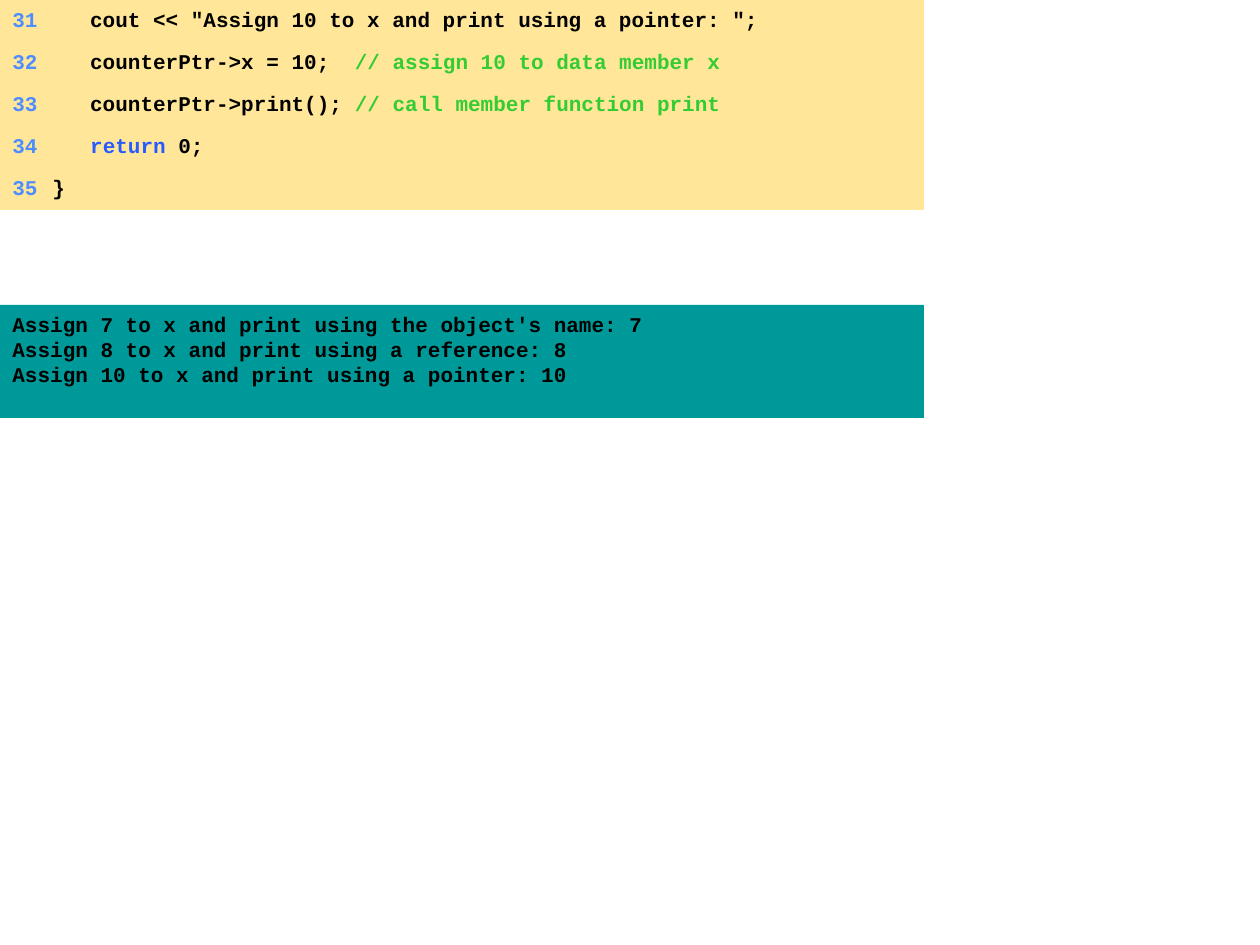
from dataclasses import dataclass

from lxml import etree
from pptx import Presentation
from pptx.dml.color import RGBColor
from pptx.enum.shapes import MSO_SHAPE
from pptx.enum.text import MSO_ANCHOR, PP_ALIGN
from pptx.oxml.ns import qn
from pptx.util import Emu, Pt

RECTANGLE = MSO_SHAPE.RECTANGLE
TOP = MSO_ANCHOR.TOP
LEFT = PP_ALIGN.LEFT

EMU_PER_PX = 914400 / 126
SLIDE_WIDTH, SLIDE_HEIGHT = 1260, 945
PANEL_WIDTH = 924
ROW_HEIGHT = 42
OUTPUT_TOP, OUTPUT_HEIGHT = 305, 113
CODE_TABS = ((0, "l"), (19, "r"), (40, "l"))

CODE_FILL = RGBColor(0xFF, 0xE6, 0x99)
OUTPUT_FILL = RGBColor(0x00, 0x99, 0x99)
NUMBER_BLUE = RGBColor(0x4D, 0x8D, 0xFF)
KEYWORD_BLUE = RGBColor(0x27, 0x5A, 0xFF)
COMMENT_GREEN = RGBColor(0x33, 0xCC, 0x33)
BLACK = RGBColor(0x00, 0x00, 0x00)


@dataclass(frozen=True)
class Span:
    text: str
    color: RGBColor = BLACK


FIRST_LINE_NUMBER = 31
CODE_LINES = (
    (Span('   cout << "Assign 10 to x and print using a pointer: ";'),),
    (
        Span("   counterPtr->x = 10;  "),
        Span("// assign 10 to data member x", COMMENT_GREEN),
    ),
    (
        Span("   counterPtr->print();"),
        Span(" // call member function print", COMMENT_GREEN),
    ),
    (Span("   "), Span("return", KEYWORD_BLUE), Span(" 0;")),
    (Span("}"),),
)
OUTPUT_LINES = (
    "Assign 7 to x and print using the object's name: 7",
    "Assign 8 to x and print using a reference: 8",
    "Assign 10 to x and print using a pointer: 10",
)


def px(length: int) -> Emu:
    return Emu(round(length * EMU_PER_PX))


def add_panel(slide, top: int, height: int, fill: RGBColor):
    panel = slide.shapes.add_shape(RECTANGLE, 0, px(top), px(PANEL_WIDTH), px(height))
    panel.shadow.inherit = False
    panel.fill.solid()
    panel.fill.fore_color.rgb = fill
    panel.line.fill.background()
    panel.text_frame.word_wrap = True
    panel.text_frame.vertical_anchor = TOP
    return panel


def add_tabs(para) -> None:
    tab_list = etree.SubElement(para._p.get_or_add_pPr(), qn("a:tabLst"))
    for position, alignment in CODE_TABS:
        etree.SubElement(tab_list, qn("a:tab"), pos=str(px(position)), algn=alignment)


def write_spans(para, spans: tuple[Span, ...]) -> None:
    para.alignment = LEFT
    para.font.name = "Courier New"
    para.font.size = Pt(12)
    para.font.bold = True
    for span in spans:
        run = para.add_run()
        run.text = span.text
        run.font.color.rgb = span.color


def add_code_row(slide, index: int, spans: tuple[Span, ...]) -> None:
    row = add_panel(slide, index * ROW_HEIGHT, ROW_HEIGHT, CODE_FILL)
    para = row.text_frame.paragraphs[0]
    add_tabs(para)
    number = Span(f"\t{FIRST_LINE_NUMBER + index}\t", NUMBER_BLUE)
    write_spans(para, (number, *spans))


def add_output(slide) -> None:
    frame = add_panel(slide, OUTPUT_TOP, OUTPUT_HEIGHT, OUTPUT_FILL).text_frame
    for index, line in enumerate(OUTPUT_LINES):
        para = frame.add_paragraph() if index else frame.paragraphs[0]
        write_spans(para, (Span(line),))


def main() -> None:
    deck = Presentation()
    deck.slide_width, deck.slide_height = px(SLIDE_WIDTH), px(SLIDE_HEIGHT)
    slide = deck.slides.add_slide(deck.slide_layouts[6])
    for index, spans in enumerate(CODE_LINES):
        add_code_row(slide, index, spans)
    add_output(slide)
    deck.save("out.pptx")


if __name__ == "__main__":
    main()
